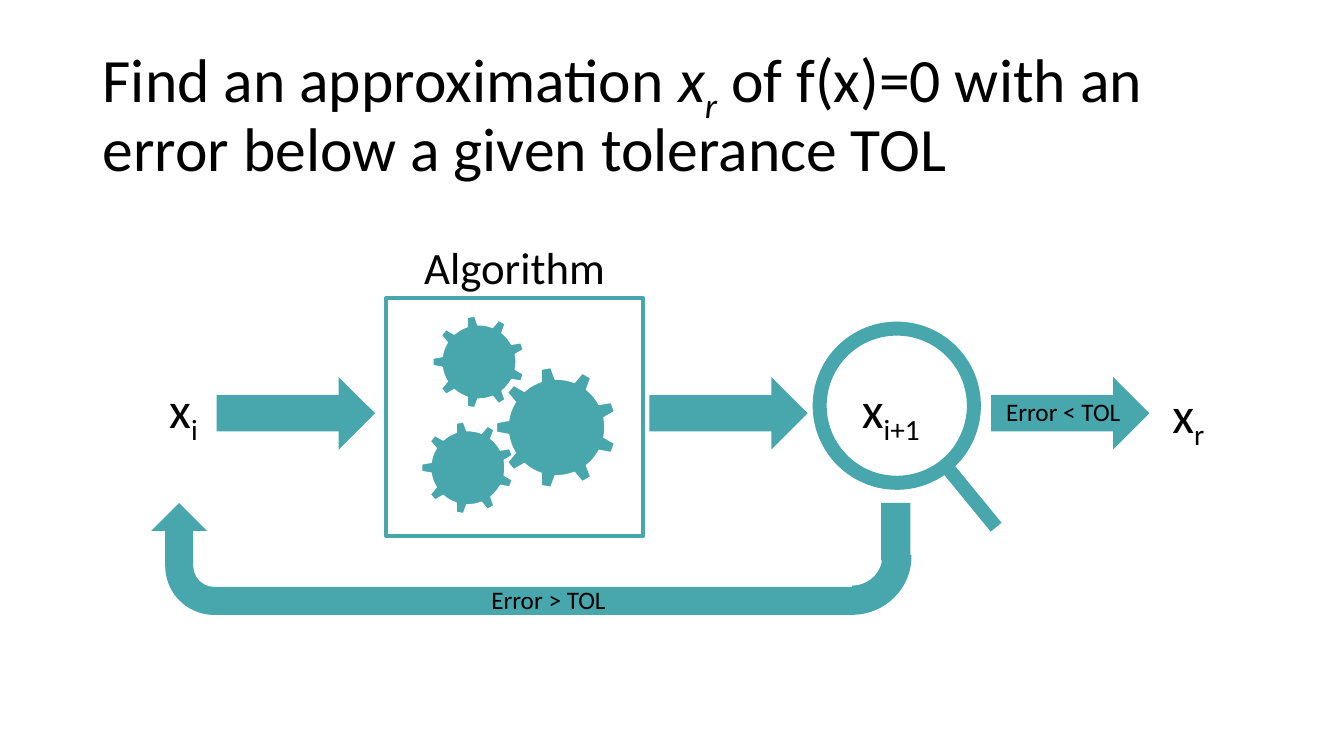
from lxml.etree import SubElement
from pptx import Presentation
from pptx.dml.color import RGBColor
from pptx.enum.shapes import MSO_CONNECTOR, MSO_SHAPE as SHAPE
from pptx.enum.text import MSO_ANCHOR as ANCHOR, PP_ALIGN as ALIGN
from pptx.oxml.ns import qn
from pptx.util import Inches, Pt

TEAL = RGBColor(0x48, 0xA6, 0xAD)
WHITE = RGBColor(0xFF, 0xFF, 0xFF)
BLACK = RGBColor(0, 0, 0)
FONT = "Calibri"
ARROW_TOP = 3.74


def add_shape(s, kind, x, y, w, h, fill=TEAL, line=None, width=1, rotation=0):
    """Add a preset shape, filled or outlined, and return it."""
    sp = s.shapes.add_shape(kind, Inches(x), Inches(y), Inches(w), Inches(h))
    sp.shadow.inherit = False
    sp.rotation = rotation
    if fill is None:
        sp.fill.background()
    else:
        sp.fill.solid()
        sp.fill.fore_color.rgb = fill
    if line is None:
        sp.line.fill.background()
    else:
        sp.line.color.rgb = line
        sp.line.width = Pt(width)
    return sp


def add_run(p, text, size, italic=False, subscript=False):
    """Append one run of text to a paragraph."""
    r = p.add_run()
    r.text = text
    r.font.name = FONT
    r.font.size = Pt(size)
    r.font.color.rgb = BLACK
    if italic:
        r.font.italic = True
    if subscript:
        r.font._element.set("baseline", "-25000")


def add_text(s, x, y, w, h, align=ALIGN.LEFT, anchor=ANCHOR.TOP):
    """Add a wrapping text box and return its first paragraph."""
    tf = s.shapes.add_textbox(Inches(x), Inches(y), Inches(w), Inches(h)).text_frame
    tf.word_wrap = True
    tf.vertical_anchor = anchor
    p = tf.paragraphs[0]
    p.alignment = align
    return p


def add_label(s, text, x, y, w, h, size, align=ALIGN.LEFT):
    """Add a one-run text box."""
    add_run(add_text(s, x, y, w, h, align), text, size)


def add_variable(s, index, x, y, w):
    """Add the letter x with a subscript index."""
    p = add_text(s, x, y, w, 0.71)
    add_run(p, "x", 36)
    add_run(p, index, 36, subscript=True)


def add_title(s):
    """Add the slide title."""
    p = add_text(s, 0.92, 0.4, 11.5, 1.45, anchor=ANCHOR.MIDDLE)
    p.line_spacing = 0.9
    add_run(p, "Find an approximation ", 44)
    add_run(p, "x", 44, italic=True)
    add_run(p, "r", 44, italic=True, subscript=True)
    add_run(p, " of f(x)=0 with an error below a given tolerance TOL", 44)


def add_magnifier(s):
    """Add the magnifying glass as a ring and a handle."""
    add_shape(s, SHAPE.OVAL, 8.13, 3.26, 1.53, 1.53, None, TEAL, 10, 321)
    handle = s.shapes.add_connector(MSO_CONNECTOR.STRAIGHT, Inches(9.38),
                                    Inches(4.62), Inches(9.88), Inches(5.23))
    handle.line.color.rgb = TEAL
    handle.line.width = Pt(10)
    SubElement(handle._element.spPr, qn("a:effectLst"))


def add_feedback_loop(s):
    """Add the arrow that leads back from the check to the input."""
    add_shape(s, SHAPE.RECTANGLE, 8.74, 4.99, 0.29, 0.57)
    add_shape(s, SHAPE.BENT_ARROW, 4.42, 2.07, 1.11, 6.95, rotation=270)
    corner = add_shape(s, SHAPE.BLOCK_ARC, 7.87, 4.93, 1.16, 1.18, rotation=90)
    for i, value in enumerate((161.22, 0, 0.25)):
        corner.adjustments[i] = value


def main():
    """Build the slide and save it."""
    prs = Presentation()
    prs.slide_width, prs.slide_height = Inches(13.33), Inches(7.5)
    s = prs.slides.add_slide(prs.slide_layouts[6])

    add_title(s)
    add_magnifier(s)
    add_shape(s, SHAPE.RECTANGLE, 3.83, 2.96, 2.55, 2.36, None, TEAL, 3)
    add_label(s, "Algorithm", 3.87, 2.33, 2.47, 0.64, 32, ALIGN.CENTER)
    for x in (2.15, 6.44, 9.83):
        add_shape(s, SHAPE.RIGHT_ARROW, x, ARROW_TOP, 1.57, 0.72)
    for index, x, y, w in (("i", 1.58, 3.7, 0.79), ("i+1", 8.45, 3.7, 1.37),
                           ("r", 11.53, 3.75, 1.37)):
        add_variable(s, index, x, y, w)
    add_feedback_loop(s)
    add_label(s, "Error < TOL", 9.88, 3.88, 2.24, 0.4, 18)
    add_label(s, "Error > TOL", 4.32, 5.75, 2.24, 0.4, 18, ALIGN.CENTER)
    for x, y, size in ((4.92, 3.64, 1.2), (4.29, 3.13, 0.92), (4.18, 4.18, 0.92)):
        add_shape(s, SHAPE.GEAR_9, x, y, size, size, TEAL, WHITE, 1, 270)

    prs.save("out.pptx")


if __name__ == "__main__":
    main()
